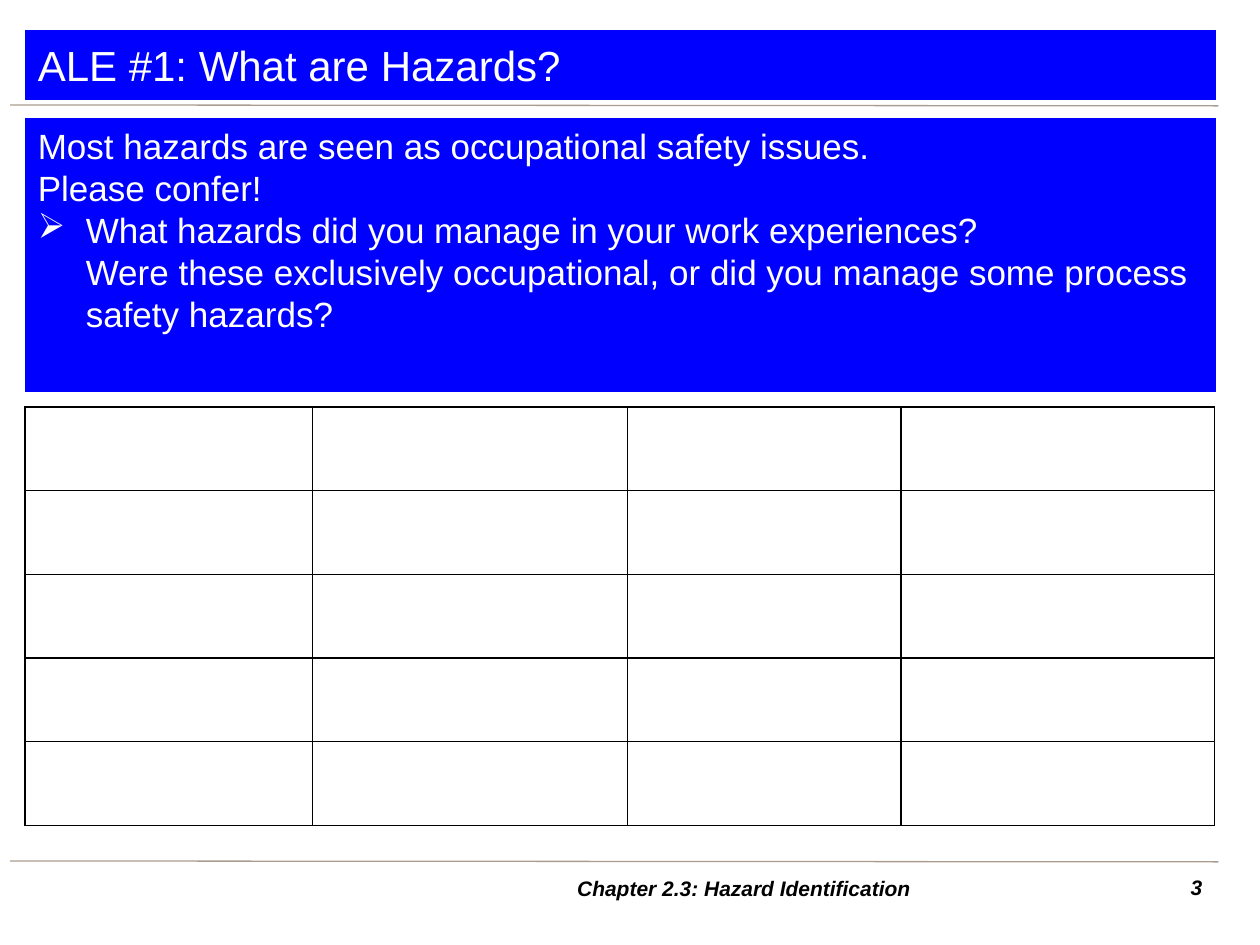
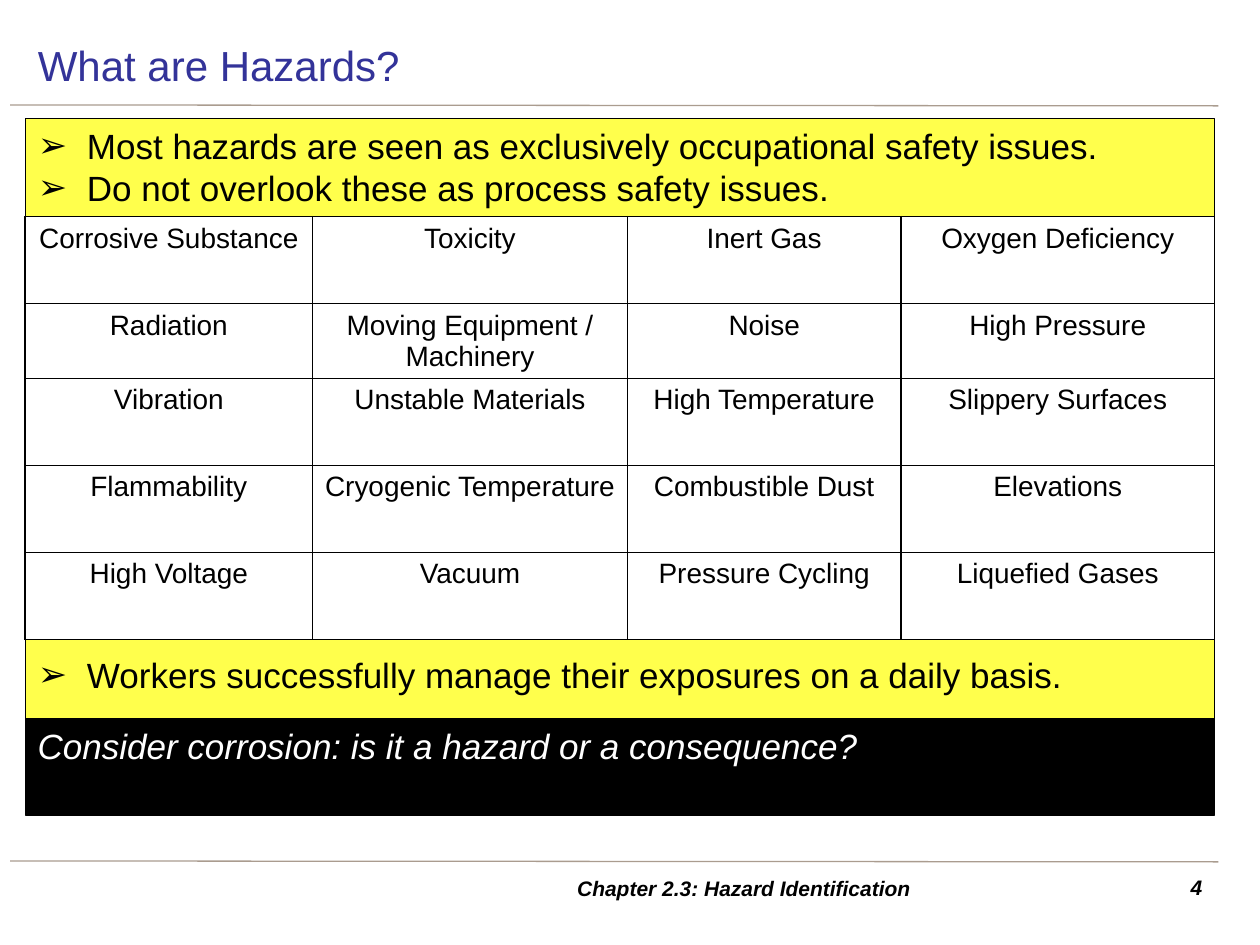
from dataclasses import dataclass
from typing import Optional

from lxml.etree import SubElement
from pptx import Presentation
from pptx.dml.color import RGBColor
from pptx.enum.shapes import MSO_CONNECTOR as Wire, MSO_SHAPE as Kind
from pptx.enum.text import MSO_ANCHOR as Anchor, MSO_AUTO_SIZE as Fit, PP_ALIGN as Align
from pptx.oxml.ns import qn
from pptx.util import Pt

BLUE = RGBColor(0x00, 0x00, 0xFF)
NAVY = RGBColor(0x33, 0x33, 0x99)
YELLOW = RGBColor(0xFF, 0xFF, 0x00)
BLACK = RGBColor(0x00, 0x00, 0x00)
WHITE = RGBColor(0xFF, 0xFF, 0xFF)
TAUPE = RGBColor(0xAA, 0x9C, 0x8F)

LEFT, WIDTH = 14.4, 680.4
COLS = (164.2, 180, 156.2, 179.3)
FOOT = "Chapter 2.3: Hazard Identification"
FOOT_FONT = {"size": Pt(12), "bold": True, "italic": True}
TITLE_FONT = {"size": Pt(24)}
BODY_FONT = {"size": Pt(20)}
CELL_FONT = {"size": Pt(16)}
FRAME = {"word_wrap": True, "auto_size": Fit.NONE,
         "margin_left": Pt(7.2), "margin_right": Pt(7.2),
         "margin_top": Pt(3.6), "margin_bottom": Pt(3.6)}


@dataclass
class Box:
    left: float
    top: float
    width: float
    height: float

    def spots(self) -> tuple:
        return Pt(self.left), Pt(self.top), Pt(self.width), Pt(self.height)


@dataclass
class Mark:
    char: str
    face: str
    indent: float


@dataclass
class Item:
    text: str
    mark: Optional[Mark] = None
    before: float = 0


@dataclass
class Look:
    ink: RGBColor
    fill: Optional[RGBColor] = None
    edge: Optional[RGBColor] = None
    alpha: int = 100


@dataclass
class Grid:
    top: float
    rows: tuple
    words: tuple = ()


BLUE_LOOK = Look(WHITE, BLUE, BLUE)
RULES = (60, 492)
PAGE_BOX = Box(652.3, 496.1, 41.8, 22.3)
FOOT_BOX = Box(212.4, 496.1, 425.5, 22.3)
TITLE_BOX = Box(LEFT, 17.3, WIDTH, 39.6)
WING = Mark("Ø", "Wingdings", 27.4)
ARROW = Mark("➢", "Arial", 28.1)

ASK = (
    Item("Most hazards are seen as occupational safety issues."),
    Item("Please confer!"),
    Item("What hazards did you manage in your work experiences?\n"
         "Were these exclusively occupational, or did you manage some "
         "process safety hazards?", WING),
)
POINTS = (
    Item("Most hazards are seen as exclusively occupational safety issues.", ARROW),
    Item("Do not overlook these as process safety issues.", ARROW),
    Item("Workers successfully manage their exposures on a daily basis.", ARROW, 254),
)
HAZARDS = (
    ("Corrosive Substance", "Toxicity", "Inert Gas", "Oxygen Deficiency"),
    ("Radiation", "Moving Equipment / Machinery", "Noise", "High Pressure"),
    ("Vibration", "Unstable Materials", "High Temperature", "Slippery Surfaces"),
    ("Flammability", "Cryogenic Temperature", "Combustible Dust", "Elevations"),
    ("High Voltage", "Vacuum", "Pressure Cycling", "Liquefied Gases"),
)


def apply(target, values: dict) -> None:
    for name, value in values.items():
        setattr(target, name, value)


def style(para, ink: RGBColor, font: dict) -> None:
    for run in para.runs:
        apply(run.font, {"name": "Arial", **font})
        run.font.color.rgb = ink
    for gap in para._p.findall(qn("a:br")):
        SubElement(gap, qn("a:rPr"), sz=str(int(font["size"].pt * 100)))


def paint(shape, look: Look) -> None:
    if look.fill is None:
        return
    shape.fill.solid()
    shape.fill.fore_color.rgb = look.fill
    shape.line.color.rgb = look.edge
    shape.line.width = Pt(0.75)
    if look.alpha < 100:
        tint = shape._element.spPr.find(qn("a:solidFill"))[0]
        SubElement(tint, qn("a:alpha"), val=str(look.alpha * 1000))


def bullet(para, mark: Optional[Mark]) -> None:
    props = para._p.get_or_add_pPr()
    size = Pt(mark.indent) if mark else 0
    props.set("marL", str(size))
    props.set("indent", str(-size))
    if mark:
        SubElement(props, qn("a:buFont"), typeface=mark.face)
        SubElement(props, qn("a:buChar"), char=mark.char)
    else:
        SubElement(props, qn("a:buNone"))


def write(shape, items: tuple, ink: RGBColor, font: dict,
          align=Align.LEFT, anchor=Anchor.TOP) -> None:
    frame = shape.text_frame
    apply(frame, {**FRAME, "vertical_anchor": anchor})
    for i, item in enumerate(items):
        para = frame.add_paragraph() if i else frame.paragraphs[0]
        bullet(para, item.mark)
        para.text = item.text
        apply(para, {"alignment": align, "space_before": Pt(item.before)})
        style(para, ink, font)


def place(shape, box: Box) -> None:
    apply(shape, dict(zip(("left", "top", "width", "height"), box.spots())))


def rule(slide, top: float) -> None:
    line = slide.shapes.add_connector(
        Wire.STRAIGHT, Pt(5.8), Pt(top), Pt(696.2), Pt(top + 0.5))
    line.line.color.rgb = TAUPE
    line.line.width = Pt(0.75)
    SubElement(line._element.spPr, qn("a:effectLst"))


def label(slide, box: Box, text: str, align, anchor) -> None:
    shape = slide.shapes.add_textbox(*box.spots())
    write(shape, (Item(text),), BLACK, FOOT_FONT, align, anchor)


def border(cell) -> None:
    props = cell._tc.get_or_add_tcPr()
    for side in "LRTB":
        line = SubElement(props, qn(f"a:ln{side}"), w=str(Pt(1)))
        fill = SubElement(line, qn("a:solidFill"))
        SubElement(fill, qn("a:srgbClr"), val=str(BLACK))


def draw_grid(slide, grid: Grid) -> None:
    box = Box(LEFT, grid.top, sum(COLS), sum(grid.rows))
    table = slide.shapes.add_table(len(grid.rows), len(COLS), *box.spots()).table
    apply(table, {"first_row": False, "horz_banding": False})
    for col, width in zip(table.columns, COLS):
        col.width = Pt(width)
    for row, height in zip(table.rows, grid.rows):
        row.height = Pt(height)
    for cell in table.iter_cells():
        border(cell)
        cell.fill.solid()
        cell.fill.fore_color.rgb = WHITE
    for r, line in enumerate(grid.words):
        for c, word in enumerate(line):
            para = table.cell(r, c).text_frame.paragraphs[0]
            para.text = word
            para.alignment = Align.CENTER
            style(para, BLACK, CELL_FONT)


def add_page(deck, num: int, title: str, head: Look,
             items: tuple, box: Box, look: Look, grid: Grid):
    """Add a slide with the shared title, panel, table, rules and footer."""
    slide = deck.slides.add_slide(deck.slide_layouts[1])
    top, body = slide.shapes.title, slide.placeholders[1]
    place(top, TITLE_BOX)
    paint(top, head)
    write(top, (Item(title),), head.ink, TITLE_FONT, anchor=Anchor.MIDDLE)
    place(body, box)
    paint(body, look)
    write(body, items, look.ink, BODY_FONT)
    for y in RULES:
        rule(slide, y)
    label(slide, PAGE_BOX, str(num), Align.RIGHT, Anchor.TOP)
    label(slide, FOOT_BOX, FOOT, Align.CENTER, Anchor.MIDDLE)
    draw_grid(slide, grid)
    return slide


def add_note(slide, text: str, box: Box, look: Look) -> None:
    shape = slide.shapes.add_shape(Kind.RECTANGLE, *box.spots())
    shape.shadow.inherit = False
    paint(shape, look)
    write(shape, (Item(text),), look.ink, {**BODY_FONT, "italic": True})


def main() -> None:
    deck = Presentation()
    apply(deck, {"slide_width": Pt(720), "slide_height": Pt(540)})
    add_page(deck, 3, "ALE #1: What are Hazards?", BLUE_LOOK,
             ASK, Box(LEFT, 67.7, WIDTH, 156.2), BLUE_LOOK,
             Grid(232.6, (47.8,) * 5))
    slide = add_page(deck, 4, "What are Hazards?", Look(NAVY),
                     POINTS, Box(LEFT, 67.7, 679.7, 355.7),
                     Look(BLACK, YELLOW, BLACK, 70),
                     Grid(123.8, (49.7, 42.5, 49.7, 49.7, 49.7), HAZARDS))
    add_note(slide, "Consider corrosion: is it a hazard or a consequence?",
             Box(LEFT, 410.4, 679.7, 55.4), Look(WHITE, BLACK, BLACK))
    deck.save("out.pptx")


if __name__ == "__main__":
    main()
